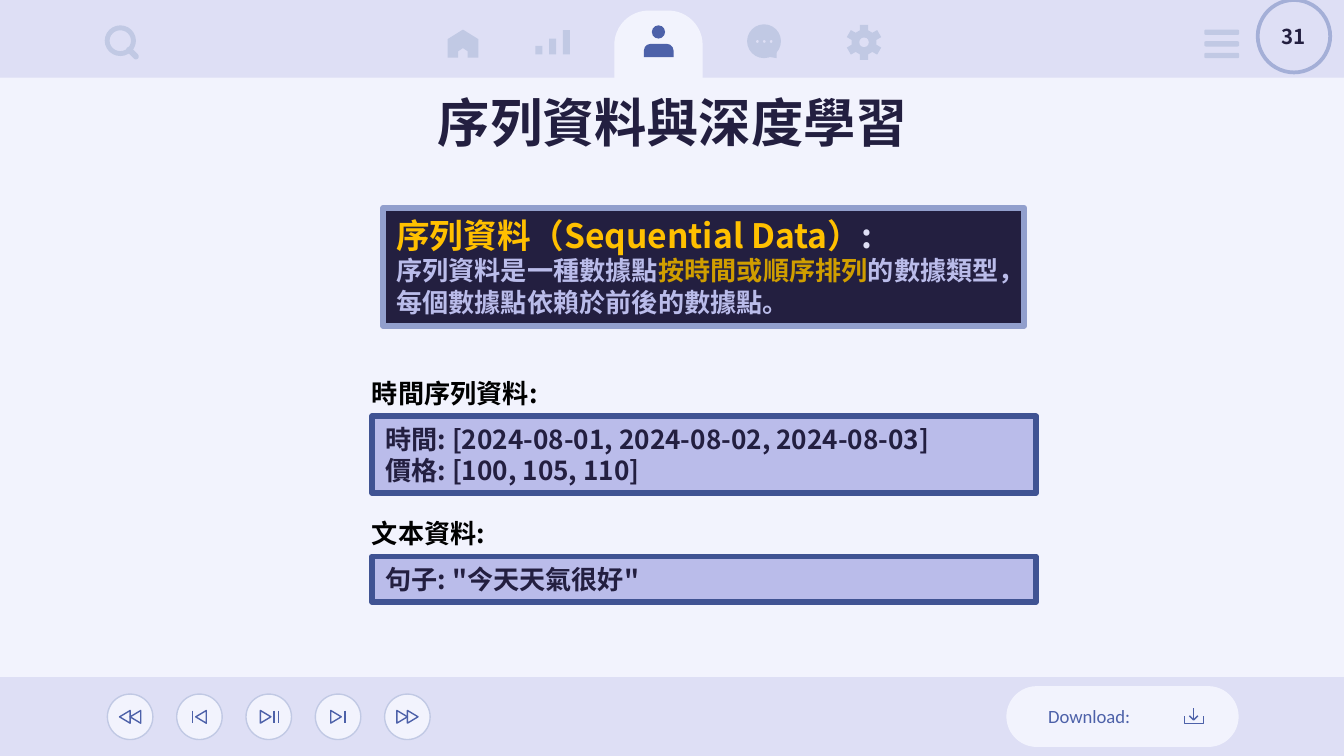
from dataclasses import dataclass
from math import cos, radians, sin

from lxml.etree import SubElement
from pptx import Presentation
from pptx.dml.color import RGBColor
from pptx.enum.shapes import MSO_CONNECTOR, MSO_SHAPE as Preset
from pptx.enum.text import MSO_ANCHOR as Anchor, MSO_AUTO_SIZE as AutoSize, PP_ALIGN as Align
from pptx.oxml.ns import qn
from pptx.util import Cm, Pt


@dataclass(frozen=True)
class Theme:
    page: str = "F2F3FD"
    bar: str = "DEDFF5"
    icon: str = "C1C9E4"
    accent: str = "4D61A9"
    dark: str = "231F40"
    black: str = "000000"
    lilac: str = "BABCEA"
    gold: str = "FFC000"
    dark_gold: str = "D09E00"
    definition_border: str = "929FCD"
    example_border: str = "405393"
    number_border: str = "A4AFD7"
    font: str = "Noto Sans CJK SC"
    label_font: str = "Calibri"
    title_size: float = 28
    heading_size: float = 18
    body_size: float = 14
    number_size: float = 11
    label_size: float = 10
    thin: float = 0.75
    thick: float = 3


@dataclass(frozen=True)
class Box:
    left: float
    top: float
    width: float
    height: float


@dataclass(frozen=True)
class Line:
    """One paragraph: its (text, colour) runs and its type."""
    runs: tuple
    size: float
    bold: bool = True
    font: str = Theme.font
    align: Align = Align.LEFT


@dataclass(frozen=True)
class MediaButton:
    """Offsets of the symbol's parts from the button's centre."""
    triangles: tuple
    strokes: tuple
    rotation: int


THEME = Theme()


def style(shape, fill=None, line=None, width=THEME.thin):
    shape.shadow.inherit = False
    if fill:
        shape.fill.solid()
        shape.fill.fore_color.rgb = RGBColor.from_string(fill)
    else:
        shape.fill.background()
    if line:
        shape.line.color.rgb = RGBColor.from_string(line)
        shape.line.width = Pt(width)
    else:
        shape.line.fill.background()
    return shape


def add_preset(slide, kind: Preset, box: Box, fill=None, line=None,
               width=THEME.thin, adjustments=(), rotation=0):
    shape = slide.shapes.add_shape(kind, Cm(box.left), Cm(box.top), Cm(box.width), Cm(box.height))
    for index, value in enumerate(adjustments):
        shape.adjustments[index] = value
    shape.rotation = rotation
    return style(shape, fill, line, width)


def add_outline(slide, points: list, fill=None, line=None):
    corners = [(Cm(x), Cm(y)) for x, y in points]
    builder = slide.shapes.build_freeform(*corners[0])
    builder.add_line_segments(corners[1:], close=fill is not None)
    return style(builder.convert_to_shape(), fill, line)


def add_stroke(slide, x: float, top: float, bottom: float):
    stroke = slide.shapes.add_connector(MSO_CONNECTOR.STRAIGHT, Cm(x), Cm(top), Cm(x), Cm(bottom))
    stroke.line.color.rgb = RGBColor.from_string(THEME.accent)
    stroke.line.width = Pt(THEME.thin)
    SubElement(stroke._element.spPr, qn("a:effectLst"))


def write(shape, lines: list[Line], anchor=Anchor.TOP, auto_size=AutoSize.NONE):
    frame = shape.text_frame
    frame.word_wrap = True
    frame.auto_size = auto_size
    frame.vertical_anchor = anchor
    for index, line in enumerate(lines):
        paragraph = frame.add_paragraph() if index else frame.paragraphs[0]
        paragraph.alignment = line.align
        font = paragraph.font
        font.size, font.bold, font.name = Pt(line.size), line.bold, line.font
        font.color.rgb = RGBColor.from_string(line.runs[0][1])
        # East Asian text needs its own typeface element
        SubElement(paragraph._p.pPr.find(qn("a:defRPr")), qn("a:ea"), typeface=line.font)
        for text, colour in line.runs:
            run = paragraph.add_run()
            run.text = text
            if len(line.runs) > 1:
                run.font.color.rgb = RGBColor.from_string(colour)


def add_text(slide, box: Box, lines: list[Line], **options):
    shape = slide.shapes.add_textbox(Cm(box.left), Cm(box.top), Cm(box.width), Cm(box.height))
    write(shape, lines, **options)


def draw_navigation(slide):
    icon = THEME.icon
    add_preset(slide, Preset.RECTANGLE, Box(0, 12.8, 25.4, 1.49), THEME.bar)
    add_preset(slide, Preset.RECTANGLE, Box(0, 0, 25.4, 1.47), THEME.bar)
    # Active tab with person
    rounded_top = Preset.ROUND_2_SAME_RECTANGLE
    add_preset(slide, rounded_top, Box(11.61, 0.2, 1.67, 1.3), THEME.page, adjustments=(0.5, 0))
    add_preset(slide, Preset.OVAL, Box(12.32, 0.48, 0.25, 0.25), THEME.accent)
    add_preset(slide, rounded_top, Box(12.17, 0.83, 0.56, 0.25), THEME.accent, adjustments=(0.5, 0))
    # House
    half = [(0, 0.56), (0.29, 0.74), (0.29, 1.09), (0.09, 1.09), (0.09, 0.97), (0, 0.91)]
    house = half + [(-x, y) for x, y in reversed(half[1:-1])]
    add_outline(slide, [(8.75 + x, y) for x, y in house], icon)
    # Bar chart
    for index, height in enumerate((0.16, 0.3, 0.46)):
        add_preset(slide, Preset.RECTANGLE, Box(10.12 + 0.26 * index, 1.03 - height, 0.13, height), icon)
    # Speech bubble
    add_preset(slide, Preset.OVAL, Box(14.12, 0.46, 0.64, 0.64), icon)
    add_outline(slide, [(14.5, 1.07), (14.68, 1.1), (14.68, 0.95)], icon)
    for index in range(3):
        add_preset(slide, Preset.OVAL, Box(14.29 + 0.13 * index, 0.76, 0.05, 0.05), THEME.bar)
    # Gear
    tooth = ((-19, 0.24), (-13, 0.34), (13, 0.34), (19, 0.24))
    rim = [(radians(60 * index + 30 + angle), radius) for index in range(6) for angle, radius in tooth]
    add_outline(slide, [(16.33 + r * cos(a), 0.8 + r * sin(a)) for a, r in rim], icon)
    add_preset(slide, Preset.OVAL, Box(16.24, 0.71, 0.18, 0.18), THEME.bar)
    # Menu
    for index in range(3):
        add_preset(slide, Preset.ROUNDED_RECTANGLE, Box(22.76, 0.56 + 0.22 * index, 0.66, 0.1),
                   icon, adjustments=(0.3,))
    # Magnifier
    add_preset(slide, Preset.DONUT, Box(1.98, 0.48, 0.59, 0.58), icon, adjustments=(0.16,))
    add_preset(slide, Preset.ROUNDED_RECTANGLE, Box(2.36, 0.95, 0.29, 0.11), icon,
               adjustments=(0.5,), rotation=45)


def draw_media_buttons(slide):
    buttons = (
        MediaButton((0.1, -0.1), (), 270),
        MediaButton((0.03,), (-0.13,), 270),
        MediaButton((-0.06,), (0.1, 0.18), 90),
        MediaButton((-0.04,), (0.13,), 90),
        MediaButton((-0.1, 0.1), (), 90),
    )
    middle = 13.55
    for index, button in enumerate(buttons):
        centre = 2.46 + 1.31 * index
        add_preset(slide, Preset.OVAL, Box(centre - 0.43, middle - 0.43, 0.86, 0.86), THEME.page, THEME.icon)
        for offset in button.triangles:
            add_preset(slide, Preset.ISOSCELES_TRIANGLE,
                       Box(centre + offset - 0.12, middle - 0.1, 0.24, 0.2),
                       line=THEME.accent, rotation=button.rotation)
        for offset in button.strokes:
            add_stroke(slide, centre + offset, middle - 0.12, middle + 0.12)


def draw_download(slide):
    add_preset(slide, Preset.ROUNDED_RECTANGLE, Box(19.02, 12.97, 4.39, 1.15), THEME.page, adjustments=(0.5,))
    add_stroke(slide, 22.56, 13.39, 13.61)
    tray = [(22.39, 13.54), (22.39, 13.68), (22.74, 13.68), (22.74, 13.54)]
    arrowhead = [(22.48, 13.53), (22.56, 13.61), (22.64, 13.53)]
    for points in (tray, arrowhead):
        add_outline(slide, points, line=THEME.accent)
    label = Line((("Download:", THEME.accent),), THEME.label_size, False, THEME.label_font)
    add_text(slide, Box(19.56, 13.23, 2.44, 0.61), [label], anchor=Anchor.MIDDLE)


def draw_content(slide):
    # Title
    title = slide.shapes.title
    title.left, title.top, title.width, title.height = Cm(2.01), Cm(1.5), Cm(21.41), Cm(1.6)
    write(title, [Line((("序列資料與深度學習", THEME.dark),), THEME.title_size, align=Align.CENTER)],
          anchor=Anchor.MIDDLE)
    # Definition
    definition = add_preset(slide, Preset.RECTANGLE, Box(7.24, 3.93, 12.12, 2.23),
                            THEME.dark, THEME.definition_border, THEME.thick)
    write(definition, [
        Line((("序列資料（Sequential Data）", THEME.gold), (":", THEME.bar)), THEME.heading_size),
        Line((("序列資料是一種數據點", THEME.lilac), ("按時間或順序排列", THEME.dark_gold),
              ("的數據類型，每個數據點依賴於前後的數據點。", THEME.lilac)), THEME.body_size),
    ], auto_size=AutoSize.SHAPE_TO_FIT_TEXT)
    # Examples, each a heading above a panel
    examples = (
        ("時間序列資料:", 7.01, 1.45,
         ("時間: [2024-08-01, 2024-08-02, 2024-08-03]", "價格: [100, 105, 110]")),
        ("文本資料:", 9.66, 0.86, ('句子: "今天天氣很好"',)),
    )
    for heading, top, height, rows in examples:
        panel = add_preset(slide, Preset.RECTANGLE, Box(7.03, top + 0.86, 12.55, height),
                           THEME.lilac, THEME.example_border, THEME.thick)
        write(panel, [Line(((row, THEME.dark),), THEME.body_size) for row in rows],
              auto_size=AutoSize.SHAPE_TO_FIT_TEXT)
        add_text(slide, Box(6.78, top, 5.94, 0.86), [Line(((heading, THEME.black),), THEME.body_size)],
                 auto_size=AutoSize.SHAPE_TO_FIT_TEXT)
    # Slide number
    badge = add_preset(slide, Preset.OVAL, Box(23.77, 0, 1.37, 1.37), THEME.bar, THEME.number_border, 2)
    write(badge, [Line((("31", THEME.dark),), THEME.number_size, align=Align.CENTER)], anchor=Anchor.MIDDLE)


def main():
    presentation = Presentation()
    presentation.slide_width, presentation.slide_height = Cm(25.4), Cm(14.29)
    slide = presentation.slides.add_slide(presentation.slide_layouts[5])
    slide.background.fill.solid()
    slide.background.fill.fore_color.rgb = RGBColor.from_string(THEME.page)
    draw_navigation(slide)
    draw_media_buttons(slide)
    draw_download(slide)
    draw_content(slide)
    presentation.save("out.pptx")


if __name__ == "__main__":
    main()
